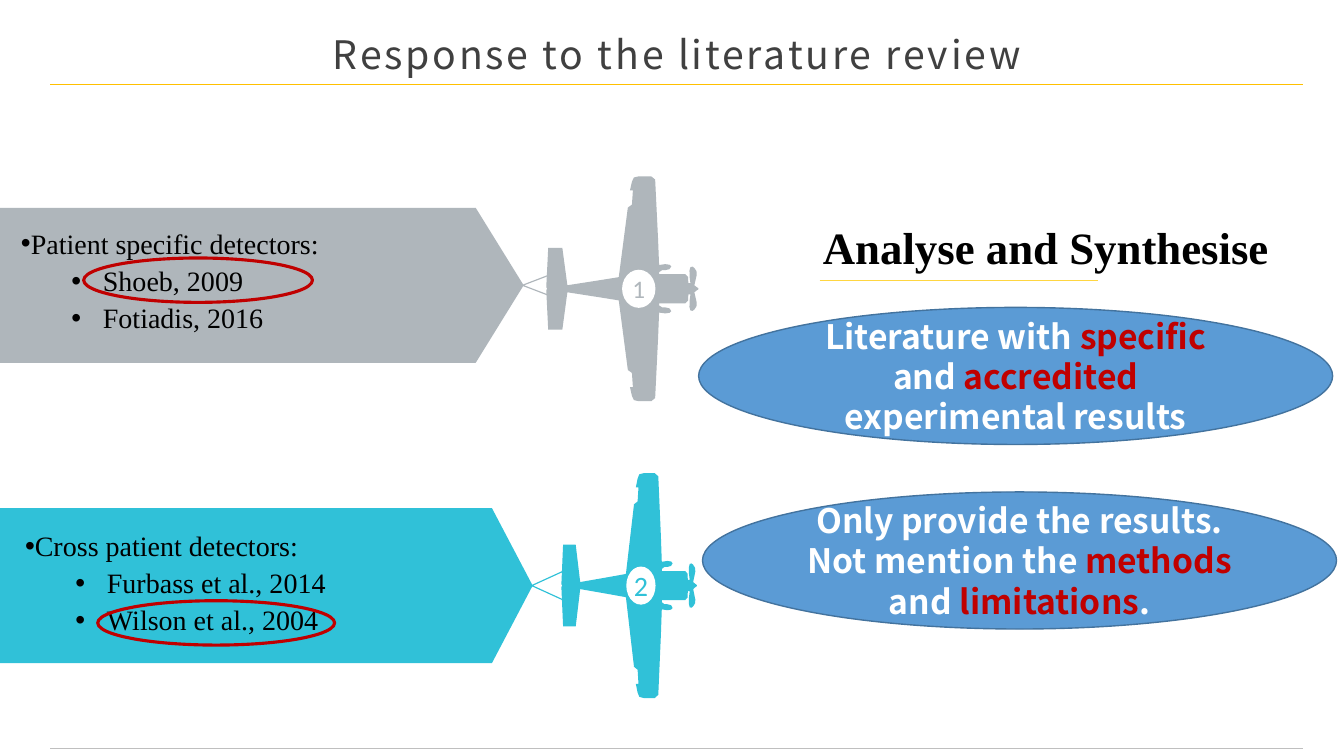
"""Build the slide on the response to the literature review."""
import pptx
import pptx.dml.color
import pptx.enum.shapes
import pptx.enum.text
import pptx.oxml.ns
import pptx.util
from lxml import etree

Pt = pptx.util.Pt
Color = pptx.dml.color.RGBColor
Align = pptx.enum.text.PP_ALIGN
Anchor = pptx.enum.text.MSO_ANCHOR
qn = pptx.oxml.ns.qn

BLACK = Color(0x00, 0x00, 0x00)
WHITE = Color(0xFF, 0xFF, 0xFF)
DARK = Color(0x40, 0x40, 0x40)
SILVER = Color(0xBF, 0xBF, 0xBF)
GRAY = Color(0xAF, 0xB6, 0xBB)
TEAL = Color(0x30, 0xC1, 0xD8)
GOLD = Color(0xFF, 0xC0, 0x00)
YELLOW = Color(0xFF, 0xD6, 0x41)
RED = Color(0xC0, 0x00, 0x00)
BLUE = Color(0x5B, 0x9B, 0xD5)
NAVY = Color(0x43, 0x73, 0x9E)

SANS = "Noto Sans CJK SC"
SERIF = "Times New Roman"
DIGIT = "Calibri"

WING = [
    (0.7, 0), (0, 1), (1.4, 29.2), (11.5, 29.2), (15.1, 2.5), (38.2, 6.1),
    (51.8, 8.3), (58.3, 58), (61.2, 60.1), (61.9, 70.2), (59.8, 70.2),
    (61.2, 76.5), (62.6, 79.5), (66, 80.3), (75, 80.3), (77.8, 78),
    (79.9, 35), (80.6, 17), (85, 17.6), (88, 17.2), (89.3, 16), (88, 14),
    (85, 13.3), (82.8, 13.3), (80.6, 11.9), (80.6, 10.4), (99.4, 10.4),
    (101.3, 8.5), (101.5, 4), (103, 4), (102.4, 8.5), (102.3, 13),
    (103, 15.5), (104.5, 15.8), (105.8, 14.8), (107.3, 12.6), (107.5, 10),
    (105.8, 2.5), (107.3, 1.3), (108.7, 0.4),
]


def write(shape, lines, font=SANS, size=20, color=BLACK, bold=False,
          align=Align.LEFT, anchor=Anchor.TOP, wrap=True, inset=None,
          track=0, list_style=False):
    """Fill a shape with lines of text; parts between bars turn red."""
    frame = shape.text_frame
    frame.word_wrap = wrap
    frame.vertical_anchor = anchor
    if inset is not None:
        frame.margin_left = frame.margin_right = Pt(inset)
        frame.margin_top = frame.margin_bottom = Pt(inset)
    for row, line in enumerate(lines):
        para = frame.add_paragraph() if row else frame.paragraphs[0]
        para.alignment = align
        if list_style:
            bullet(para, row > 0)
        for turn, words in enumerate(line.split("|")):
            run = para.add_run()
            run.text = words
            run.font.name = font
            run.font.size = Pt(size)
            run.font.bold = bold
            run.font.color.rgb = RED if turn % 2 else color
            if track:
                run.font._element.set("spc", str(track * 100))


def bullet(para, nested):
    """Give a paragraph its bullet, indent and spacing."""
    para.level = int(nested)
    para.line_spacing = 0.9
    para.space_before = Pt(5 if nested else 10)
    props = para._p.get_or_add_pPr()
    props.set("marL", str(Pt(58.5 if nested else 0)))
    props.set("indent", str(Pt(-22.5 if nested else 0)))
    etree.SubElement(props, qn("a:buFont"), typeface="Arial")
    etree.SubElement(props, qn("a:buChar"), char="•")


def box(slide, left, top, width, height):
    """Add an empty text box."""
    return slide.shapes.add_textbox(Pt(left), Pt(top), Pt(width), Pt(height))


def rule(slide, left, right, top, color):
    """Draw a thin level line."""
    line = slide.shapes.add_connector(
        pptx.enum.shapes.MSO_CONNECTOR.STRAIGHT,
        Pt(left), Pt(top), Pt(right), Pt(top))
    line.line.color.rgb = color
    line.line.width = Pt(0.5)
    etree.SubElement(line._element.spPr, qn("a:effectLst"))


def oval(slide, left, top, width, height, fill=None, edge=None, weight=1):
    """Draw an ellipse with an optional fill and edge."""
    shape = slide.shapes.add_shape(
        pptx.enum.shapes.MSO_SHAPE.OVAL,
        Pt(left), Pt(top), Pt(width), Pt(height))
    shape.shadow.inherit = False
    if fill is None:
        shape.fill.background()
    else:
        shape.fill.solid()
        shape.fill.fore_color.rgb = fill
    if edge is None:
        shape.line.fill.background()
    else:
        shape.line.color.rgb = edge
        shape.line.width = Pt(weight)
    return shape


def mirror(slide, half, left, axis, color, scale=1):
    """Draw an outline from its upper half, mirrored about a level axis."""
    whole = half + [(x, -y) for x, y in reversed(half)]
    spots = [(Pt(left + x * scale), Pt(axis - y)) for x, y in whole]
    pen = slide.shapes.build_freeform(*spots[0], scale=1.0)
    pen.add_line_segments(spots[1:], close=True)
    shape = pen.convert_to_shape()
    shape.shadow.inherit = False
    shape.fill.solid()
    shape.fill.fore_color.rgb = color
    shape.line.fill.background()


def banner(slide, axis, edge, tip, end, color):
    """Draw a pointed banner with its two tow strings."""
    half = [(0, 55.4), (edge, 55.4), (tip, 0.6), (end, 11.1),
            (end, 10.2), (tip + 0.7, 0)]
    mirror(slide, half, 0, axis, color)


def plane(slide, left, axis, scale, color, digit, size, disc):
    """Draw a plane that carries a number."""
    mirror(slide, WING, left, axis, color, scale)
    mid, width = disc
    badge = oval(slide, mid - width / 2, axis - 13.6, width, 27.2, WHITE)
    write(badge, [digit], font=DIGIT, size=size, color=color, wrap=False,
          inset=0, align=Align.CENTER, anchor=Anchor.MIDDLE)


def main():
    """Build and save the slide."""
    deck = pptx.Presentation()
    deck.slide_width, deck.slide_height = Pt(960), Pt(540)
    slide = deck.slides.add_slide(deck.slide_layouts[5])

    title = slide.shapes.title
    title.left, title.top = Pt(215.3), Pt(18.7)
    title.width, title.height = Pt(537.1), Pt(39.6)
    write(title, ["Response to the literature review"], size=28, color=DARK,
          align=Align.CENTER, anchor=Anchor.MIDDLE, track=2)
    rule(slide, 36, 931, 60, GOLD)
    rule(slide, 36, 931, 534.3, SILVER)

    plane(slide, 390.2, 206.3, 1, GRAY, "1", 18, (456.3, 23.8))
    banner(slide, 203.8, 339.8, 373.7, 401.1, GRAY)
    write(box(slide, 7.9, 160.6, 267, 59),
          ["Patient specific detectors:", "Shoeb, 2009", "Fotiadis, 2016"],
          font=SERIF, list_style=True)

    plane(slide, 401, 418.3, 0.89, TEAL, "2", 20, (457.8, 20.9))
    banner(slide, 418.3, 351.4, 380.2, 403.2, TEAL)
    write(box(slide, 10.8, 376.6, 340, 59),
          ["Cross patient detectors:", "Furbass et al., 2014",
           "Wilson et al., 2004"],
          font=SERIF, list_style=True)

    write(box(slide, 580.7, 153.4, 336, 46), ["Analyse and Synthesise"],
          font=SERIF, size=32, bold=True, wrap=False)
    rule(slide, 585.4, 784, 200.2, YELLOW)

    views = [
        (499, 219.6, ["Literature with |specific| and |accredited|"
                      " experimental results"]),
        (501.8, 351.4, ["Only provide the results.",
                        "Not mention the |methods| and |limitations|."]),
    ]
    for left, top, lines in views:
        bubble = oval(slide, left, top, 452.9, 97.9, BLUE, NAVY)
        write(bubble, lines, size=24, color=WHITE, bold=True,
              align=Align.CENTER, anchor=Anchor.MIDDLE)

    oval(slide, 59.8, 184.3, 163.4, 31.7, edge=RED, weight=2.25)
    oval(slide, 69.8, 429.1, 169.2, 31.7, edge=RED, weight=2.25)
    deck.save("out.pptx")


if __name__ == "__main__":
    main()
